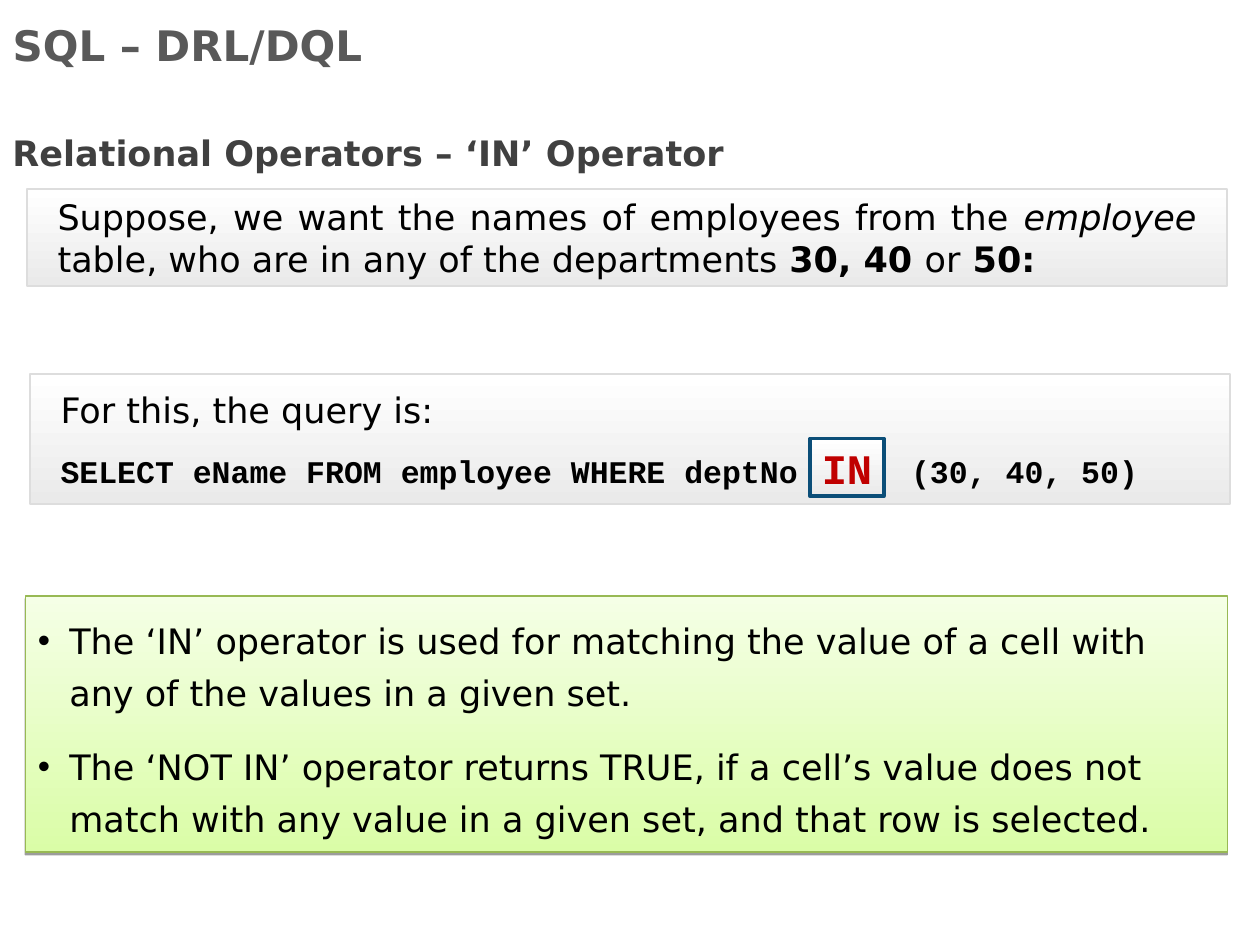
from lxml.etree import SubElement
from pptx import Presentation
from pptx.dml.color import RGBColor
from pptx.enum.shapes import MSO_SHAPE as Shape
from pptx.enum.text import MSO_ANCHOR as Anchor, MSO_AUTO_SIZE as AutoSize, PP_ALIGN as Align
from pptx.oxml.ns import qn
from pptx.util import Pt

SANS, MONO = "DejaVu Sans", "Courier New"
GREY = ("FFFFFF", "EAEAEA")
GREEN = ("F5FFE6", "DAFDA7")


def rgb(value):
    return RGBColor.from_string(value)


class SlideBuilder:
    def __init__(self, page):
        self.page = page

    def place(self, box, area):
        box.left, box.top, box.width, box.height = (Pt(length) for length in area)

    def frame(self, box, inset, anchor, upright=0):
        text = box.text_frame
        text.word_wrap = True
        text.auto_size = AutoSize.NONE
        text.vertical_anchor = anchor
        text.margin_left = text.margin_right = Pt(inset)
        text.margin_top = text.margin_bottom = Pt(upright)
        return text

    def add_spans(self, para, spans, size=20, font=SANS, color="000000",
                  align=Align.LEFT, before=6, after=6, line=None):
        """Fill a paragraph with (text, style) spans; style may hold b and i."""
        para.alignment = align
        para.space_before, para.space_after = Pt(before), Pt(after)
        if line:
            para.line_spacing = line
        for words, style in spans:
            span = para.add_run()
            span.text = words
            span.font.name, span.font.size = font, Pt(size)
            span.font.color.rgb = rgb(color)
            span.font.bold, span.font.italic = "b" in style, "i" in style

    def paint(self, box, colors, line, width):
        """Apply a top-to-bottom gradient and an outline."""
        box.fill.gradient()
        box.fill.gradient_angle = 270
        for stop, color in zip(box.fill.gradient_stops, colors):
            stop.color.rgb = rgb(color)
        box.line.color.rgb = rgb(line)
        box.line.width = Pt(width)

    def title(self, area, words):
        box = self.page.shapes.title
        self.place(box, area)
        text = self.frame(box, 7.2, Anchor.MIDDLE, 3.6)
        self.add_spans(text.paragraphs[0], [(words, "b")], 24, color="595959",
                       before=0, after=0)

    def subtitle(self, area, words):
        box = self.page.shapes.add_textbox(*(Pt(length) for length in area))
        text = self.frame(box, 7.2, Anchor.TOP, 3.6)
        self.add_spans(text.paragraphs[0], [(words, "b")], color="404040",
                       before=0, after=0, line=1.5)

    def panel(self, area, line="DDDDDD", width=1, inset=17.3):
        box = self.page.shapes.add_shape(Shape.RECTANGLE, *(Pt(length) for length in area))
        box.shadow.inherit = False
        self.paint(box, GREY, line, width)
        return self.frame(box, inset, Anchor.MIDDLE)

    def bullet_list(self, area, items):
        box = self.page.placeholders[1]
        self.place(box, area)
        self.paint(box, GREEN, "98B954", 0.75)
        self.drop_shadow(box)
        text = self.frame(box, 7.2, Anchor.MIDDLE)
        text.text = "\n" * (len(items) - 1)
        for index, (para, words) in enumerate(zip(text.paragraphs, items)):
            props = para._p.get_or_add_pPr()
            props.set("marL", str(Pt(18)))
            props.set("indent", str(Pt(-18)))
            SubElement(props, qn("a:buFont"), typeface="Arial")
            SubElement(props, qn("a:buChar"), char="•")
            self.add_spans(para, [(words, "")], before=6 if index else 0, line=Pt(30))

    def drop_shadow(self, box):
        box.shadow.inherit = False
        effects = box._element.spPr.find(qn("a:effectLst"))
        shadow = SubElement(effects, qn("a:outerShdw"), blurRad="0", dist=str(Pt(1.6)),
                            dir="5400000", rotWithShape="0")
        color = SubElement(shadow, qn("a:srgbClr"), val="000000")
        SubElement(color, qn("a:alpha"), val="38000")


def main():
    deck = Presentation()
    deck.slide_width, deck.slide_height = Pt(720), Pt(540)
    slide = SlideBuilder(deck.slides.add_slide(deck.slide_layouts[1]))

    slide.title((0, 10.1, 648, 31), "SQL – DRL/DQL")
    slide.subtitle((0, 59.8, 510.5, 43.2), "Relational Operators – ‘IN’ Operator")

    task = slide.panel((15.6, 108, 685.5, 55.4))
    slide.add_spans(task.paragraphs[0], [
        ("Suppose, we want the names of employees from the ", ""),
        ("employee", "i"),
        (" table, who are in any of the departments ", ""),
        ("30, 40 ", "b"),
        ("or", ""),
        (" 50:", "b"),
    ], align=Align.JUSTIFY, before=0)

    query = slide.panel((17.3, 213.8, 685.5, 74.2))
    slide.add_spans(query.paragraphs[0], [("For this, the query is:", "")], before=0)
    slide.add_spans(query.add_paragraph(),
                    [("SELECT eName FROM employee WHERE deptNo  IN  (30, 40, 50)", "b")],
                    18, MONO)

    slide.bullet_list((14.4, 340.6, 686.9, 146.2), [
        "The ‘IN’ operator is used for matching the value of a cell with any of "
        "the values in a given set.",
        "The ‘NOT IN’ operator returns TRUE, if a cell’s value does not match with "
        "any value in a given set, and that row is selected.",
    ])

    keyword = slide.panel((463, 250.6, 42, 33), "0B4E78", 2.25, 0)
    slide.add_spans(keyword.paragraphs[0], [("IN", "b")], 24, MONO, "C00000",
                    Align.CENTER, before=0)

    deck.save("out.pptx")


if __name__ == "__main__":
    main()
